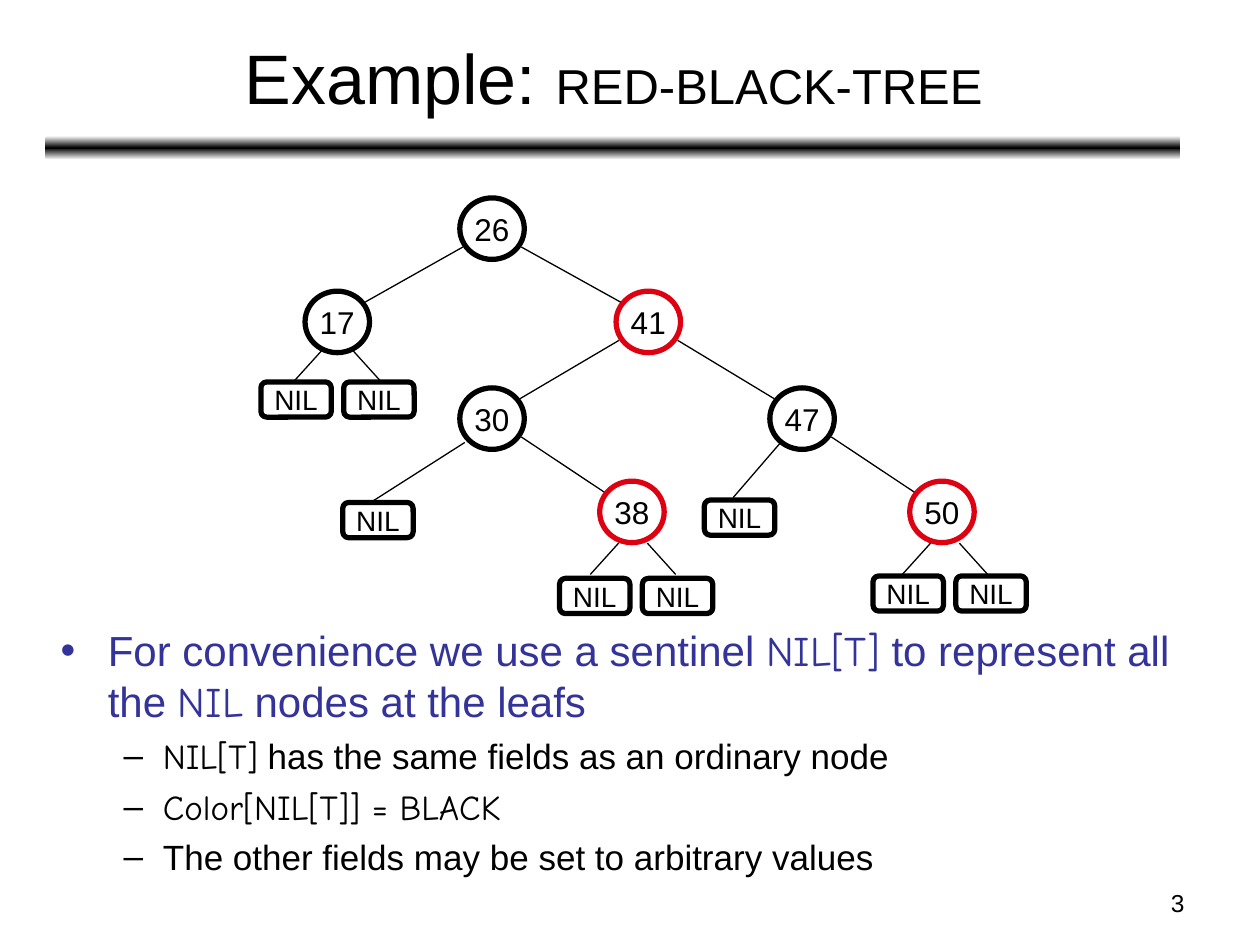
"""Build a slide showing a red-black tree with its sentinel leaves."""
from lxml import etree
from pptx import Presentation
from pptx import util as u
from pptx.dml.color import RGBColor
from pptx.enum import shapes, text
from pptx.oxml import ns

BLACK, RED, BLUE, WHITE = "000000", "DD0111", "333399", "FFFFFF"
SANS, COMIC = "Arial", "Comic Neue"
NODE_WIDTH, NODE_HEIGHT = 1.3, 1.24
LEAF_WIDTH, LEAF_HEIGHT, LEAF_STEP = 1.42, 0.71, 1.67


def color(value):
    return RGBColor.from_string(value)


class SlideBuilder:
    def __init__(self, slide):
        self.slide = slide

    def place(self, shape, left, top, width, height):
        shape.left, shape.top = u.Cm(left), u.Cm(top)
        shape.width, shape.height = u.Cm(width), u.Cm(height)

    def add_run(self, paragraph, words, size, font=SANS, ink=BLACK):
        run = paragraph.add_run()
        run.text = words
        run.font.size = u.Pt(size)
        run.font.name = font
        run.font.color.rgb = color(ink)

    def add_title(self, box, parts):
        title = self.slide.shapes.title
        self.place(title, *box)
        frame = title.text_frame
        frame.auto_size = text.MSO_AUTO_SIZE.NONE
        frame.vertical_anchor = text.MSO_ANCHOR.MIDDLE
        frame.paragraphs[0].alignment = text.PP_ALIGN.CENTER
        for words, size in parts:
            self.add_run(frame.paragraphs[0], words, size)

    def add_bullets(self, box, items):
        body = self.slide.placeholders[1]
        self.place(body, *box)
        frame = body.text_frame
        frame.auto_size = text.MSO_AUTO_SIZE.NONE
        styles = [(24, BLUE, 6, 0.95, -0.95), (20, BLACK, 5, 2.06, -0.79)]
        for index, (level, parts) in enumerate(items):
            paragraph = frame.paragraphs[0] if index == 0 else frame.add_paragraph()
            size, ink, before, margin, indent = styles[level]
            paragraph.level = level
            paragraph.space_before = u.Pt(before)
            properties = paragraph._p.get_or_add_pPr()
            properties.set("marL", str(u.Cm(margin)))
            properties.set("indent", str(u.Cm(indent)))
            for words, font in parts:
                self.add_run(paragraph, words, size, font, ink)

    def add_number(self, box, words):
        shape = self.slide.shapes.add_textbox(*map(u.Cm, box))
        shape.text_frame.word_wrap = True
        paragraph = shape.text_frame.paragraphs[0]
        paragraph.alignment = text.PP_ALIGN.RIGHT
        self.add_run(paragraph, words, 14)

    def add_bar(self, box):
        shape = self.slide.shapes.add_shape(
            shapes.MSO_SHAPE.ROUNDED_RECTANGLE, *map(u.Cm, box))
        shape.shadow.inherit = False
        shape.line.fill.background()
        shape.fill.gradient()
        shape.fill.gradient_angle = 90
        stops = shape._element.spPr.find(".//" + ns.qn("a:gsLst"))
        for stop in list(stops):
            stops.remove(stop)
        for position, value in [(0, WHITE), (50, BLACK), (100, WHITE)]:
            stop = etree.SubElement(stops, ns.qn("a:gs"), pos=str(position * 1000))
            etree.SubElement(stop, ns.qn("a:srgbClr"), val=value)

    def add_outline(self, kind, box, words, size, ink=BLACK):
        shape = self.slide.shapes.add_shape(kind, *map(u.Cm, box))
        shape.shadow.inherit = False
        shape.fill.background()
        shape.line.color.rgb = color(ink)
        shape.line.width = u.Pt(3)
        frame = shape.text_frame
        frame.word_wrap = False
        frame.vertical_anchor = text.MSO_ANCHOR.MIDDLE
        frame.paragraphs[0].alignment = text.PP_ALIGN.CENTER
        self.add_run(frame.paragraphs[0], words, size)

    def add_node(self, key, center_x, center_y, ink):
        box = (center_x - NODE_WIDTH / 2, center_y - NODE_HEIGHT / 2,
               NODE_WIDTH, NODE_HEIGHT)
        self.add_outline(shapes.MSO_SHAPE.OVAL, box, key, 18, ink)

    def add_leaf(self, left, top):
        box = (left, top, LEAF_WIDTH, LEAF_HEIGHT)
        self.add_outline(shapes.MSO_SHAPE.ROUNDED_RECTANGLE, box, "NIL", 16)

    def add_edge(self, *ends):
        edge = self.slide.shapes.add_connector(
            shapes.MSO_CONNECTOR.STRAIGHT, *map(u.Cm, ends))
        edge.line.color.rgb = color(BLACK)
        edge.line.width = u.Pt(0.75)
        etree.SubElement(edge._element.spPr, ns.qn("a:effectLst"))

    def add_leaf_pair(self, left, top, center_x, edge_top):
        for index, side in enumerate((-1, 1)):
            self.add_leaf(left + index * LEAF_STEP, top)
            self.add_edge(center_x + side * 0.29, edge_top,
                          center_x + side * 0.86, edge_top + 0.63)


def main():
    presentation = Presentation()
    presentation.slide_width, presentation.slide_height = u.Cm(25.4), u.Cm(19.05)
    builder = SlideBuilder(presentation.slides.add_slide(presentation.slide_layouts[1]))

    builder.add_bar((0.91, 2.74, 22.89, 0.48))
    builder.add_number((18.21, 17.78, 5.92, 0.89), "3")
    builder.add_title((0.94, 0.28, 22.86, 2.51),
                      [("Example: ", 40), ("RED-BLACK-TREE", 28)])
    builder.add_bullets((0.97, 12.47, 23.72, 5.99), [
        (0, [("For convenience we use a sentinel ", SANS), ("NIL[T]", COMIC),
             (" to represent all the ", SANS), ("NIL", COMIC),
             (" nodes at the leafs", SANS)]),
        (1, [("NIL[T]", COMIC), (" has the same fields as an ordinary node", SANS)]),
        (1, [("Color[NIL[T]] = BLACK", COMIC)]),
        (1, [("The other fields may be set to arbitrary values", SANS)]),
    ])

    nodes = {
        "26": (9.92, 4.61, BLACK), "17": (6.8, 6.49, BLACK),
        "41": (13.07, 6.49, RED), "30": (9.92, 8.44, BLACK),
        "47": (16.17, 8.44, BLACK), "38": (12.74, 10.32, RED),
        "50": (18.99, 10.32, RED),
    }
    for key, node in nodes.items():
        builder.add_node(key, *node)
    for parent, child in [("26", "17"), ("26", "41"), ("41", "30"),
                          ("41", "47"), ("30", "38"), ("47", "50")]:
        (start_x, start_y, _), (end_x, end_y, _) = nodes[parent], nodes[child]
        side = 1 if end_x > start_x else -1
        builder.add_edge(start_x + side * 0.59, start_y + 0.37,
                         end_x - side * 0.56, end_y - 0.4)

    for pair in [(5.26, 7.7, 6.8, 7.04), (11.28, 11.66, 12.76, 10.95),
                 (17.6, 11.61, 19.05, 10.95)]:
        builder.add_leaf_pair(*pair)
    for leaf, edge in [((6.91, 10.13), (9.37, 8.92, 7.47, 10.13)),
                       ((14.2, 10.08), (15.72, 8.94, 14.78, 10.03))]:
        builder.add_leaf(*leaf)
        builder.add_edge(*edge)

    presentation.save("out.pptx")


if __name__ == "__main__":
    main()
